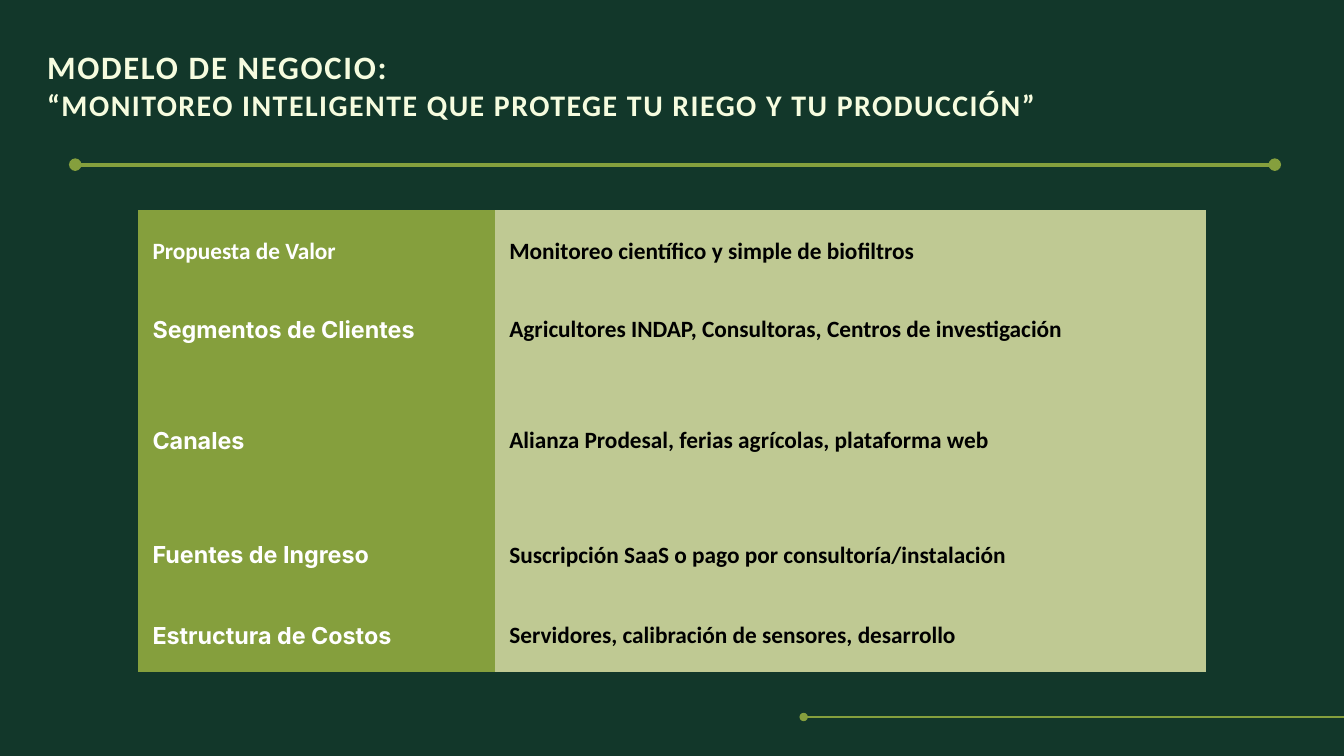
"""Build the business model slide: title, rules and a two-column table."""
import lxml.etree
import pptx
import pptx.dml.color
import pptx.enum.shapes
import pptx.enum.text
import pptx.oxml.ns
import pptx.util

DARK_GREEN = pptx.dml.color.RGBColor(0x12, 0x37, 0x2A)
OLIVE = pptx.dml.color.RGBColor(0x85, 0x9F, 0x3D)
PALE_OLIVE = pptx.dml.color.RGBColor(0xBF, 0xC9, 0x93)
CREAM = pptx.dml.color.RGBColor(0xF6, 0xFC, 0xDF)
WHITE = pptx.dml.color.RGBColor(0xFF, 0xFF, 0xFF)
BLACK = pptx.dml.color.RGBColor(0x00, 0x00, 0x00)

GRID_COLUMNS, GRID_ROWS = 20, 11.25
NO_TABLE_STYLE = "{2D5ABB26-0587-4C30-8999-92F81FD0307C}"

TITLE_LINES = [
    ("MODELO DE NEGOCIO:", dict(size=35, leading=42, spacing=180)),
    ("“MONITOREO INTELIGENTE QUE PROTEGE TU RIEGO Y TU PRODUCCIÓN”",
     dict(size=32, leading=38.4, spacing=160)),
]
BUSINESS_MODEL = [
    ("Propuesta de Valor", "Monitoreo científico y simple de biofiltros", "Calibri", 1.17),
    ("Segmentos de Clientes", "Agricultores INDAP, Consultoras, Centros de investigación",
     "Inter", 1.15),
    ("Canales", "Alianza Prodesal, ferias agrícolas, plataforma web", "Inter", 2.16),
    ("Fuentes de Ingreso", "Suscripción SaaS o pago por consultoría/instalación", "Inter", 1.24),
    ("Estructura de Costos", "Servidores, calibración de sensores, desarrollo", "Inter", 1.15),
]


def write_text(paragraph, text, *, size=25, leading=35, color=BLACK, font="Calibri", spacing=0):
    """Write one bold, left-aligned line into a paragraph."""
    paragraph.alignment = pptx.enum.text.PP_ALIGN.LEFT
    paragraph.line_spacing = pptx.util.Pt(leading)
    run = paragraph.add_run()
    run.text = text
    run.font.name = font
    run.font.size = pptx.util.Pt(size)
    run.font.bold = True
    run.font.color.rgb = color
    if spacing:
        run.font._element.set("spc", str(spacing))


class SlideBuilder:
    """Hold the style and the current slide, measured in grid columns and rows."""

    def __init__(self, presentation):
        """Add a title-only slide with a dark background."""
        self.column = presentation.slide_width / GRID_COLUMNS
        self.row = presentation.slide_height / GRID_ROWS
        self.slide = presentation.slides.add_slide(presentation.slide_layouts[5])
        self.slide.background.fill.solid()
        self.slide.background.fill.fore_color.rgb = DARK_GREEN

    def across(self, columns):
        """Turn grid columns into a length."""
        return pptx.util.Emu(round(columns * self.column))

    def down(self, rows):
        """Turn grid rows into a length."""
        return pptx.util.Emu(round(rows * self.row))

    def title(self, lines, left, top, width, height):
        """Place the title placeholder and write its lines."""
        shape = self.slide.shapes.title
        shape.left, shape.top = self.across(left), self.down(top)
        shape.width, shape.height = self.across(width), self.down(height)
        frame = shape.text_frame
        frame.margin_left = frame.margin_right = frame.margin_top = frame.margin_bottom = 0
        frame.vertical_anchor = pptx.enum.text.MSO_ANCHOR.TOP
        frame.auto_size = pptx.enum.text.MSO_AUTO_SIZE.NONE
        frame.word_wrap = True
        for index, (text, style) in enumerate(lines):
            paragraph = frame.add_paragraph() if index else frame.paragraphs[0]
            paragraph.space_before = pptx.util.Pt(0)
            write_text(paragraph, text, color=CREAM, **style)

    def rule(self, left, right, top, weight, ends):
        """Draw a horizontal line with round ends."""
        connector = self.slide.shapes.add_connector(
            pptx.enum.shapes.MSO_CONNECTOR.STRAIGHT,
            self.across(left), self.down(top), self.across(right), self.down(top))
        connector.line.color.rgb = OLIVE
        connector.line.width = pptx.util.Pt(weight)
        outline = connector.line._get_or_add_ln()
        for end in ends:
            lxml.etree.SubElement(outline, pptx.oxml.ns.qn(f"a:{end}"), type="oval")
        lxml.etree.SubElement(connector._element.spPr, pptx.oxml.ns.qn("a:effectLst"))

    def table(self, entries, left, top, widths):
        """Add a table of headings and descriptions."""
        heights = [entry[-1] for entry in entries]
        table = self.slide.shapes.add_table(
            len(entries), len(widths), self.across(left), self.down(top),
            self.across(sum(widths)), self.down(sum(heights))).table
        table.first_row = table.horz_banding = False
        table._tbl.tblPr.find(pptx.oxml.ns.qn("a:tableStyleId")).text = NO_TABLE_STYLE
        for column, width in zip(table.columns, widths):
            column.width = self.across(width)
        for row, (heading, description, font, height) in zip(table.rows, entries):
            row.height = self.down(height)
            self.cell(row.cells[0], heading, OLIVE, color=WHITE, font=font)
            self.cell(row.cells[1], description, PALE_OLIVE)

    def cell(self, cell, text, fill, **style):
        """Fill a table cell and write its text."""
        cell.fill.solid()
        cell.fill.fore_color.rgb = fill
        cell.margin_left = cell.margin_right = self.across(0.21)
        cell.margin_top = cell.margin_bottom = self.down(0.21)
        cell.vertical_anchor = pptx.enum.text.MSO_ANCHOR.MIDDLE
        write_text(cell.text_frame.paragraphs[0], text, **style)


def main():
    """Build and save the presentation."""
    presentation = pptx.Presentation()
    presentation.slide_width = pptx.util.Inches(20)
    presentation.slide_height = pptx.util.Inches(11.25)
    builder = SlideBuilder(presentation)
    builder.rule(11.96, GRID_COLUMNS, 10.67, 3, ["headEnd"])
    builder.title(TITLE_LINES, 0.7, 0.7, 19.3, 1.2)
    builder.rule(1.12, 18.97, 2.45, 4.5, ["headEnd", "tailEnd"])
    builder.table(BUSINESS_MODEL, 2.06, 3.13, [5.31, 10.58])
    presentation.save("out.pptx")


if __name__ == "__main__":
    main()
